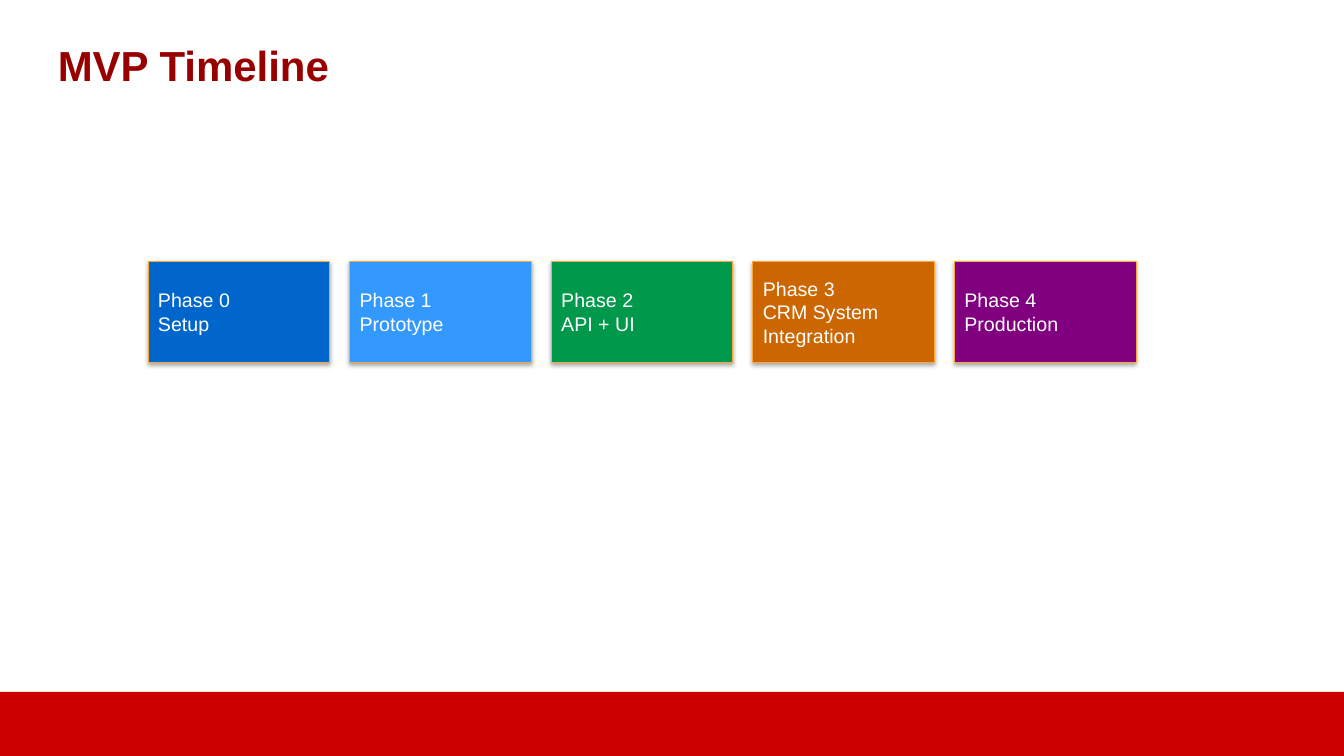
from lxml.etree import SubElement
from pptx import Presentation
from pptx.dml.color import RGBColor
from pptx.enum.shapes import MSO_SHAPE as Shape
from pptx.enum.text import MSO_ANCHOR as Anchor, PP_ALIGN as Align
from pptx.oxml.ns import qn
from pptx.util import Pt

WHITE = RGBColor(0xFF, 0xFF, 0xFF)
DARK_RED = RGBColor(0x98, 0x00, 0x00)
RED = RGBColor(0xCC, 0x00, 0x00)
AMBER = RGBColor(0xFE, 0xA8, 0x3A)
BLUE = RGBColor(0x00, 0x66, 0xCC)
SKY = RGBColor(0x33, 0x99, 0xFF)
GREEN = RGBColor(0x00, 0x99, 0x4C)
ORANGE = RGBColor(0xCC, 0x66, 0x00)
PURPLE = RGBColor(0x80, 0x00, 0x80)

# Content
TITLE = "MVP Timeline"
PHASES = [
    ("Setup", BLUE),
    ("Prototype", SKY),
    ("API + UI", GREEN),
    ("CRM System Integration", ORANGE),
    ("Production", PURPLE),
]

# Layout in px, 96 to the inch
PX = 9525
PAGE_SIZE = (1280, 720)
FOOTER = (-5, 659, 1289, 66)
TITLE_BOX = (43, 22, 560, 80)
TITLE_INSET = 12
PHASE_LEFT, PHASE_TOP = 141, 249
PHASE_WIDTH, PHASE_HEIGHT = 173, 96
PHASE_STEP = 192


def emu(lengths):
    return [length * PX for length in lengths]


def add_rectangle(page, place, color):
    box = page.shapes.add_shape(Shape.RECTANGLE, *emu(place))
    box.shadow.inherit = False
    box.fill.solid()
    box.fill.fore_color.rgb = color
    box.line.fill.background()
    return box


def write_lines(frame, lines, size, color, bold=False):
    frame.word_wrap = True
    frame.vertical_anchor = Anchor.MIDDLE
    for index, line in enumerate(lines):
        para = frame.add_paragraph() if index else frame.paragraphs[0]
        para.alignment = Align.LEFT
        span = para.add_run()
        span.text = line
        span.font.name = "Arial"
        span.font.size = Pt(size)
        span.font.bold = bold
        span.font.color.rgb = color


def add_soft_shadow(box):
    effects = box.element.spPr.find(qn("a:effectLst"))
    shadow = SubElement(effects, qn("a:outerShdw"), blurRad="40000",
                        dist="23000", dir="5400000", rotWithShape="0")
    tint = SubElement(shadow, qn("a:srgbClr"), val="000000")
    SubElement(tint, qn("a:alpha"), val="35000")


def main():
    deck = Presentation()
    deck.slide_width, deck.slide_height = emu(PAGE_SIZE)
    page = deck.slides.add_slide(deck.slide_layouts[6])
    page.background.fill.solid()
    page.background.fill.fore_color.rgb = WHITE

    # Footer band
    add_rectangle(page, FOOTER, RED)

    # Title
    frame = page.shapes.add_textbox(*emu(TITLE_BOX)).text_frame
    frame.margin_left = frame.margin_right = TITLE_INSET * PX
    frame.margin_top = frame.margin_bottom = TITLE_INSET * PX
    write_lines(frame, [TITLE], 30, DARK_RED, bold=True)

    # Phases
    for number, (name, color) in enumerate(PHASES):
        left = PHASE_LEFT + number * PHASE_STEP
        place = (left, PHASE_TOP, PHASE_WIDTH, PHASE_HEIGHT)
        box = add_rectangle(page, place, color)
        box.line.color.rgb = AMBER
        box.line.width = Pt(0.75)
        add_soft_shadow(box)
        write_lines(box.text_frame, [f"Phase {number}", name], 14, WHITE)

    deck.save("out.pptx")


if __name__ == "__main__":
    main()
